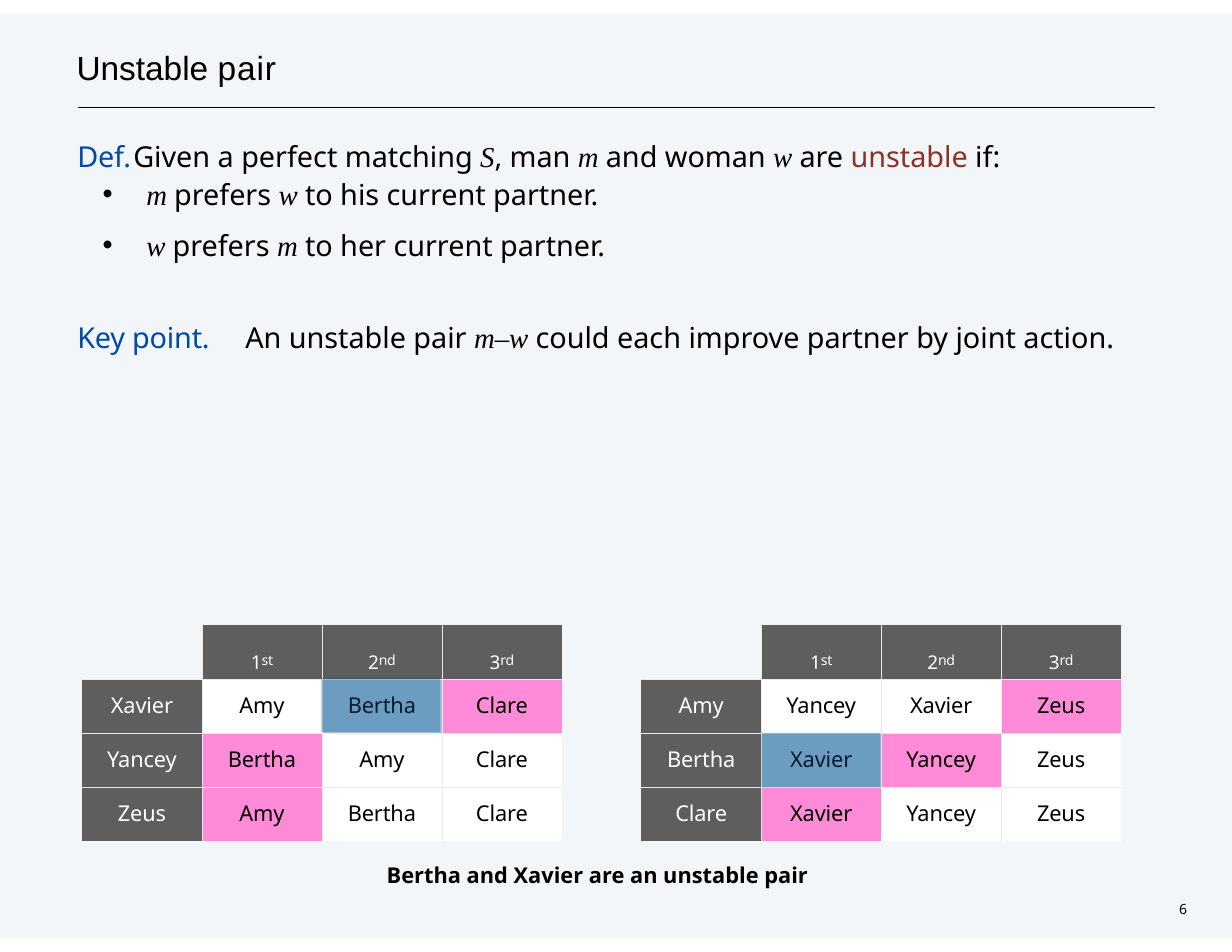
"""Build the slide that defines an unstable pair in stable matching."""
from pptx import Presentation, util as u
from pptx.dml.color import RGBColor
from pptx.enum import shapes, text
from pptx.oxml import ns, xmlchemy

Pt = u.Pt
INK, BLUE, RED, WHITE = "000000", "0048AA", "8D3124", "FFFFFF"
GRAY, PINK, NAVY, RULE = "5E5E5E", "FF8AD8", "005493", "E7EAEB"
SERIF = {"font": "Times New Roman", "italic": True}


def paint(fill, shade, opacity=100):
    fill.solid()
    fill.fore_color.rgb = RGBColor.from_string(shade)
    if opacity < 100:
        color = fill._xPr.find(ns.qn("a:solidFill"))[0]
        xmlchemy.OxmlElement("a:alpha")
        alpha = color.makeelement(ns.qn("a:alpha"), {"val": str(opacity * 1000)})
        color.append(alpha)


def write(para, words, size=18.5, font="Noto Sans", shade=INK, bold=False,
          italic=False, spacing=0, baseline=0):
    span = para.add_run()
    span.text = words
    span.font.size = Pt(size)
    span.font.name = font
    span.font.bold = bold
    span.font.italic = italic
    paint(span.font.fill, shade)
    marks = span.font._element
    marks.set("spc", str(round(spacing * 100)))
    marks.set("baseline", str(baseline * 1000))


deck = Presentation()
deck.slide_width, deck.slide_height = Pt(792), Pt(612)
page = deck.slides.add_slide(deck.slide_layouts[1])
title, body = page.placeholders

backdrop = page.shapes.add_shape(
    shapes.MSO_SHAPE.RECTANGLE, 0, Pt(9), Pt(792), Pt(594))
backdrop.shadow.inherit = False
backdrop.line.fill.background()
paint(backdrop.fill, NAVY, 5)
rule = page.shapes.add_connector(
    shapes.MSO_CONNECTOR.STRAIGHT, Pt(50.3), Pt(69), Pt(742.3), Pt(69))
rule.line.width = Pt(0.77)
paint(rule.line.fill, INK)
rule.element.spPr.append(xmlchemy.OxmlElement("a:effectLst"))
for behind, shape in enumerate((backdrop, rule)):
    page.shapes._spTree.insert(2 + behind, shape.element)

caption = page.shapes.add_textbox(0, 0, 0, 0)
number = page.shapes.add_textbox(0, 0, 0, 0)
for box, left, top, width, height, inset in (
        (title, 48.5, 29.5, 445, 28, 0.7), (body, 45.4, 90, 695, 142, 4.3),
        (caption, 247.9, 553, 277, 18.7, 0.7), (number, 757.4, 578.2, 8, 13, 0.7)):
    box.left, box.top, box.width, box.height = map(Pt, (left, top, width, height))
    frame = box.text_frame
    frame.word_wrap = True
    frame.auto_size = text.MSO_AUTO_SIZE.SHAPE_TO_FIT_TEXT
    frame.vertical_anchor = text.MSO_ANCHOR.TOP
    frame.margin_left, frame.margin_top = Pt(inset), Pt(0.9)
    frame.margin_right = frame.margin_bottom = 0
    frame.paragraphs[0].alignment = text.PP_ALIGN.LEFT
    frame.paragraphs[0].space_before = Pt(1)

heading = title.text_frame.paragraphs[0]
write(heading, "Unstable ", size=21.5, font="Arial")
write(heading, "pair", size=21.5, font="Arial", spacing=0.6)
write(caption.text_frame.paragraphs[0], "Bertha and Xavier are an unstable pair",
      size=14, bold=True)
write(number.text_frame.paragraphs[0], "6", size=9)

LEAD = {"shade": BLUE, "spacing": -0.1}
statements = (
    (0, 20.3, 52.6, (
        ("Def.\t", LEAD), ("Given a perfect matching ", {}), ("S", SERIF),
        (", man ", {}), ("m ", SERIF), ("and woman ", {}), ("w ", SERIF),
        ("are ", {}), ("unstable ", {"shade": RED}), ("if:", {}))),
    (0, 24.6, None, (
        ("m ", SERIF), ("prefers ", {}), ("w ", SERIF),
        ("to his current partner.", {}))),
    (8.2, 24.6, None, (
        ("w ", SERIF), ("prefers ", {}), ("m ", SERIF),
        ("to her current partner.", {}))),
    (36.8, None, 107.3, (
        ("Key point.\t", LEAD), ("An unstable pair ", {}), ("m–w ", SERIF),
        ("could each improve partner by joint action.", {}))),
)
for index, (before, leading, tab, spans) in enumerate(statements):
    frame = body.text_frame
    para = frame.add_paragraph() if index else frame.paragraphs[0]
    para.space_before = Pt(before)
    para.line_spacing = Pt(leading) if leading else 1.0
    layout = para._p.get_or_add_pPr()
    layout.set("marL", str(0 if tab else Pt(44.3)))
    layout.set("indent", str(0 if tab else -Pt(28)))
    if tab:
        layout.append(xmlchemy.OxmlElement("a:buNone"))
        stops = xmlchemy.OxmlElement("a:tabLst")
        stop = xmlchemy.OxmlElement("a:tab")
        stop.set("pos", str(Pt(tab)))
        stop.set("algn", "l")
        stops.append(stop)
        layout.append(stops)
    else:
        bullet = xmlchemy.OxmlElement("a:buChar")
        bullet.set("char", "•")
        layout.append(bullet)
    for words, style in spans:
        write(para, words, **style)

SIDE, ROW, TABLE_TOP = 77.15, 34.7, 401.8
ranks = (("1", "st"), ("2", "nd"), ("3", "rd"))
preferences = (
    (52.7, (("Xavier", "Amy", "Bertha", "Clare"),
            ("Yancey", "Bertha", "Amy", "Clare"),
            ("Zeus", "Amy", "Bertha", "Clare")),
     {(1, 3), (2, 1), (3, 1)}, (1, 2)),
    (412.2, (("Amy", "Yancey", "Xavier", "Zeus"),
             ("Bertha", "Xavier", "Yancey", "Zeus"),
             ("Clare", "Xavier", "Yancey", "Zeus")),
     {(1, 3), (2, 2), (3, 1)}, (2, 1)),
)
for left, names, matched, unstable in preferences:
    table = page.shapes.add_table(
        4, 4, Pt(left), Pt(TABLE_TOP), Pt(4 * SIDE), Pt(4 * ROW)).table
    table.first_row = table.horz_banding = False
    for line in range(4):
        table.columns[line].width = Pt(SIDE)
        table.rows[line].height = Pt(ROW)
    for row in range(4):
        for column in range(4):
            cell = table.cell(row, column)
            cell.margin_left = cell.margin_right = cell.margin_bottom = 0
            cell.margin_top = Pt(7 if row else 3.5)
            header = row == 0 or column == 0
            para = cell.text_frame.paragraphs[0]
            para.alignment = text.PP_ALIGN.CENTER
            if row:
                write(para, names[row - 1][column], size=14, spacing=-0.1,
                      shade=WHITE if header else INK)
            elif column:
                digit, suffix = ranks[column - 1]
                write(para, digit, size=21, shade=WHITE, spacing=-0.4, baseline=-14)
                write(para, suffix, size=9, shade=WHITE, spacing=-0.2)
            if row == column == 0:
                cell.fill.background()
            elif (row, column) == unstable:
                paint(cell.fill, NAVY, 33)
            else:
                paint(cell.fill, GRAY if header else
                      PINK if (row, column) in matched else WHITE)
            edges = (("L", column > 0), ("R", column < 3),
                     ("T", row > 0), ("B", row < 3))
            for place, (side, inner) in enumerate(edges):
                edge = xmlchemy.OxmlElement(f"a:ln{side}")
                edge.set("w", str(Pt(0.25)))
                stroke = xmlchemy.OxmlElement("a:solidFill" if inner else "a:noFill")
                if inner:
                    color = xmlchemy.OxmlElement("a:srgbClr")
                    color.set("val", RULE)
                    stroke.append(color)
                edge.append(stroke)
                cell._tc.tcPr.insert(place, edge)

for left, top in ((206.6, 435.8), (489.6, 471.4)):
    highlight = page.shapes.add_shape(
        shapes.MSO_SHAPE.RECTANGLE, Pt(left), Pt(top), Pt(76.4), Pt(34.8))
    highlight.shadow.inherit = False
    highlight.line.fill.background()
    paint(highlight.fill, NAVY, 33)

deck.save("out.pptx")
